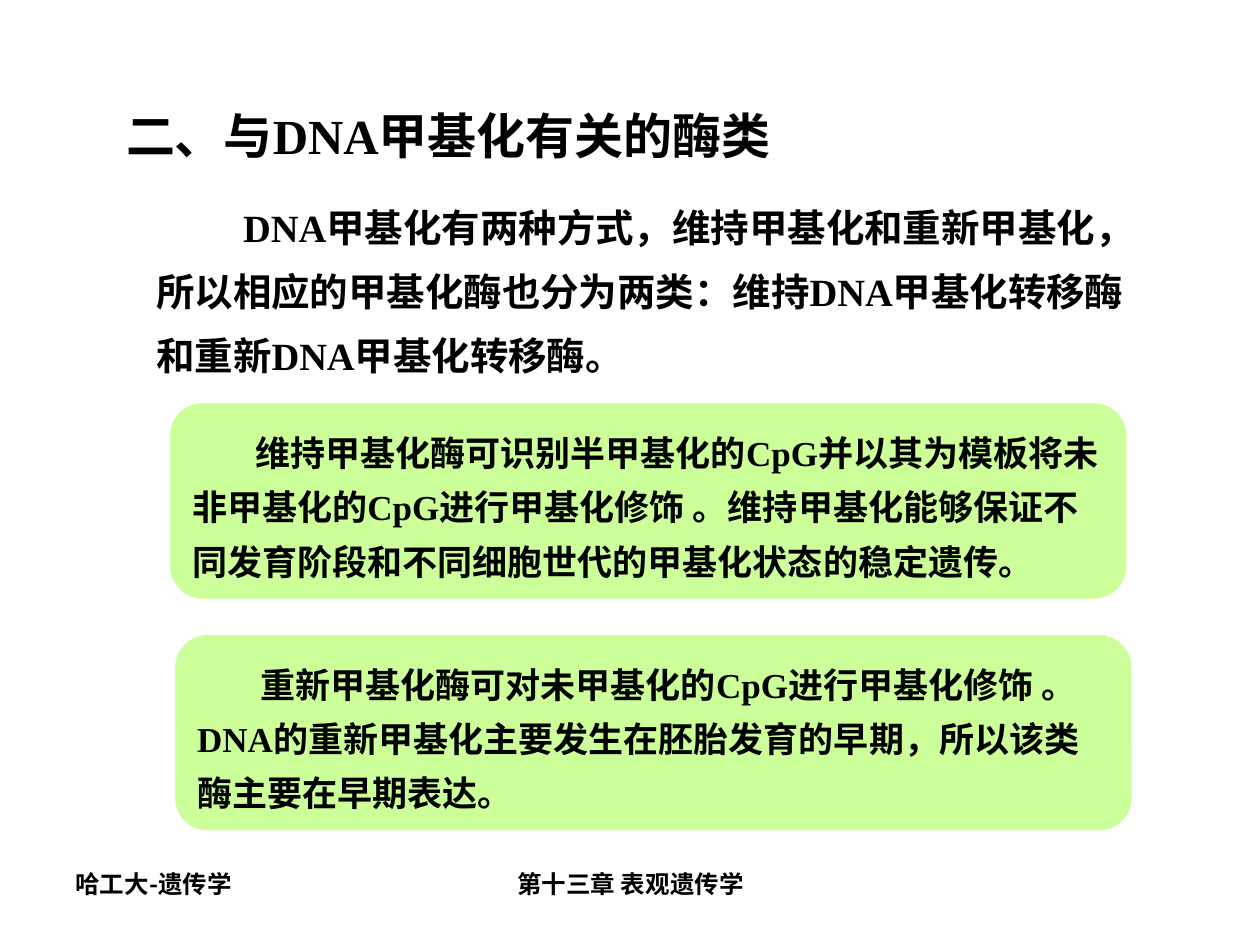
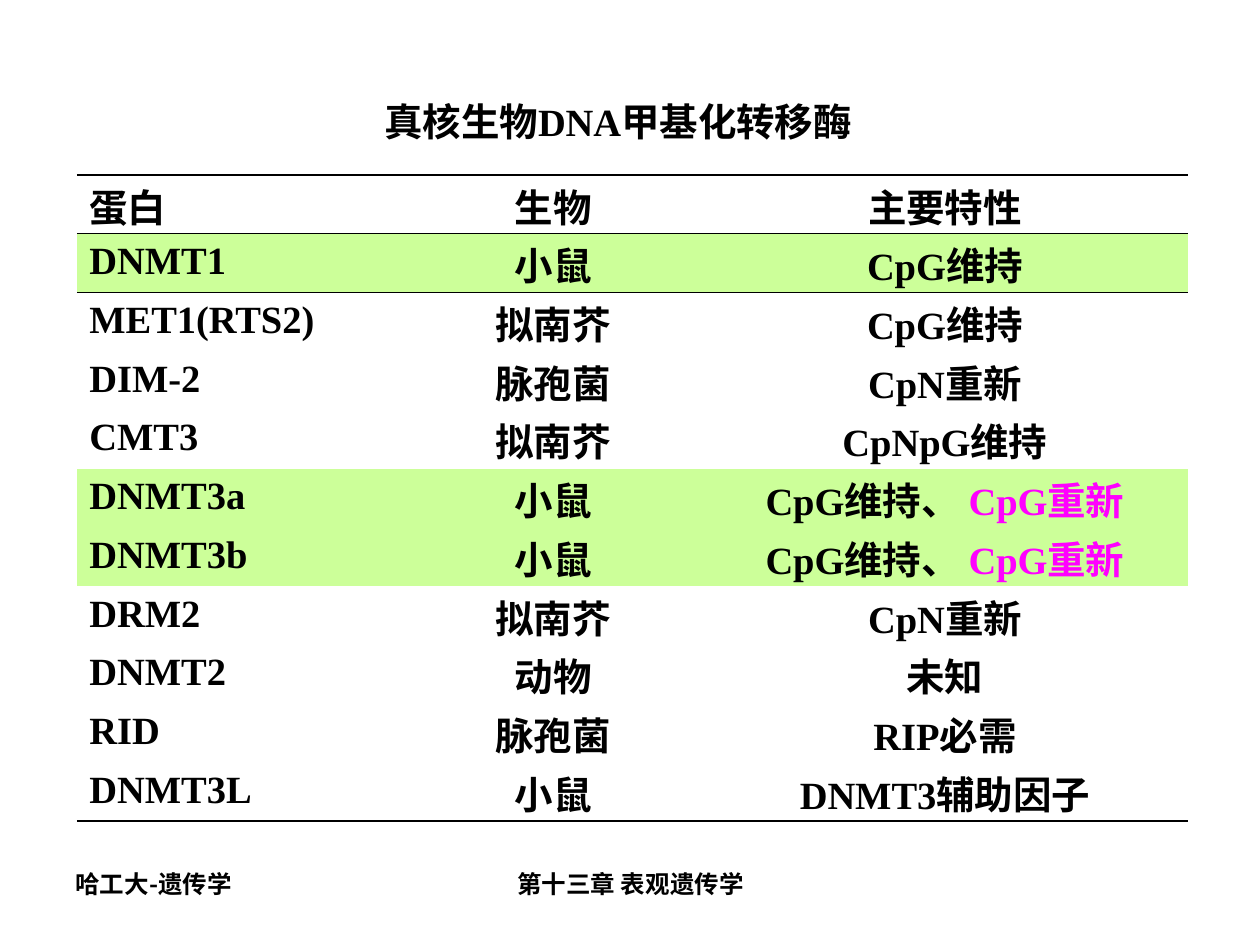
from lxml.etree import SubElement
from pptx import Presentation
from pptx.dml.color import RGBColor
from pptx.enum.shapes import MSO_SHAPE
from pptx.enum.text import MSO_ANCHOR, MSO_AUTO_SIZE, PP_ALIGN
from pptx.oxml.ns import qn
from pptx.util import Inches, Pt

HUE = {"ink": "000000", "lime": "CCFF99", "pink": "FF00FF"}
SERIF, SANS, HAN = "Times New Roman", "Arial", "Noto Sans CJK SC"
LEFT, MID = PP_ALIGN.LEFT, PP_ALIGN.CENTER
FOOT = [
    ("哈工大-遗传学", 5, 23.3, LEFT, HAN),
    ("第十三章 表观遗传学", 34.2, 31.7, MID, SANS),
]

deck = Presentation()
deck.slide_width, deck.slide_height = Inches(10), Inches(7.5)
COL, ROW = deck.slide_width / 100, deck.slide_height / 100


def area(left, top, width, height):
    """Turn shares of the slide, in percent, into lengths."""
    return int(left * COL), int(top * ROW), int(width * COL), int(height * ROW)


def style(frame, size, pitch, align=LEFT, font=SERIF, indent=0, anchor=MSO_ANCHOR.TOP):
    frame.word_wrap = True
    frame.vertical_anchor = anchor
    for para in frame.paragraphs:
        para.alignment = align
        para.line_spacing = Pt(pitch)
        para.space_before = Pt(0)
        props = para._p.get_or_add_pPr()
        props.set("marL", "0")
        props.set("indent", str(Inches(indent)))
        SubElement(props, qn("a:buNone"))
        for run in para.runs:
            run.font.size, run.font.bold, run.font.name = Pt(size), True, font
            run.font.color.rgb = RGBColor.from_string(HUE["ink"])
            SubElement(run._r.get_or_add_rPr(), qn("a:ea"), typeface=HAN)


# Titles and footers of both slides
pages = []
for kind, text, spot, size, pitch in [
    (1, "二、与DNA甲基化有关的酶类", (9, 6.93, 56.7, 10.67), 28, 52.7),
    (5, "真核生物DNA甲基化转移酶", (29.5, 6.93, 41, 8.67), 22, 41.4),
]:
    page = deck.slides.add_slide(deck.slide_layouts[kind])
    head = page.shapes.title
    head.left, head.top, head.width, head.height = area(*spot)
    head.text_frame.text = text
    head.text_frame.auto_size = MSO_AUTO_SIZE.NONE
    style(head.text_frame, size, pitch)
    for note, left, width, align, font in FOOT:
        box = page.shapes.add_textbox(*area(left, 91.07, width, 6.93))
        box.text_frame.text = note
        style(box.text_frame, 14, 18, align, font)
    pages.append(page)
first, second = pages

# Slide 1: introduction and two enzyme panels
body = first.placeholders[1]
body.left, body.top, body.width, body.height = area(11.4, 18.93, 81.1, 21.87)
body.text_frame.text = (
    "DNA甲基化有两种方式，维持甲基化和重新甲基化，所以相应的甲基化酶也分为两类："
    "维持DNA甲基化转移酶和重新DNA甲基化转移酶。"
)
body.text_frame.auto_size = MSO_AUTO_SIZE.NONE
style(body.text_frame, 22, 36.7, indent=0.69, anchor=MSO_ANCHOR.MIDDLE)

for left, top, text in [
    (13.5, 42.67, "维持甲基化酶可识别半甲基化的CpG并以其为模板将未非甲基化的CpG进行甲基化修饰 。"
                  "维持甲基化能够保证不同发育阶段和不同细胞世代的甲基化状态的稳定遗传。"),
    (13.9, 67.2, "重新甲基化酶可对未甲基化的CpG进行甲基化修饰 。"
                 "DNA的重新甲基化主要发生在胚胎发育的早期，所以该类酶主要在早期表达。"),
]:
    panel = first.shapes.add_shape(
        MSO_SHAPE.ROUNDED_RECTANGLE, *area(left, top, 75.9, 20.67))
    panel.shadow.inherit = False
    panel.fill.solid()
    panel.fill.fore_color.rgb = RGBColor.from_string(HUE["lime"])
    panel.line.fill.background()
    panel.text_frame.text = text
    style(panel.text_frame, 20, 31.1, indent=0.5)

# Slide 2: table of enzymes
DATA = [
    ("蛋白", "生物", "主要特性"),
    ("DNMT1", "小鼠", "CpG维持"),
    ("MET1(RTS2)", "拟南芥", "CpG维持"),
    ("DIM-2", "脉孢菌", "CpN重新"),
    ("CMT3", "拟南芥", "CpNpG维持"),
    ("DNMT3a", "小鼠", "CpG维持、 |CpG重新"),
    ("DNMT3b", "小鼠", "CpG维持、 |CpG重新"),
    ("DRM2", "拟南芥", "CpN重新"),
    ("DNMT2", "动物", "未知"),
    ("RID", "脉孢菌", "RIP必需"),
    ("DNMT3L", "小鼠", "DNMT3辅助因子"),
]
LIT = {"DNMT1", "DNMT3a", "DNMT3b"}
RULES = {
    0: [("a:lnT", 1.08), ("a:lnB", 0.45)],
    1: [("a:lnT", 0.45)],
    len(DATA) - 1: [("a:lnB", 1.08)],
}
grid = second.shapes.add_table(len(DATA), 3, *area(6.1, 18.53, 88.2, 68.4)).table
grid.first_row = grid.horz_banding = False
plain = "{2D5ABB26-0587-4C30-8999-92F81FD0307C}"
grid._tbl.tblPr.find(qn("a:tableStyleId")).text = plain
for col, share in zip(grid.columns, (26, 23.6, 38.6)):
    col.width = int(share * COL)

for r, line in enumerate(DATA):
    for c, text in enumerate(line):
        cell = grid.cell(r, c)
        para = cell.text_frame.paragraphs[0]
        for part in text.split("|"):
            para.add_run().text = part
        style(cell.text_frame, 22, 26, MID if c else LEFT)
        if len(para.runs) > 1:
            para.runs[1].font.color.rgb = RGBColor.from_string(HUE["pink"])
        # Han lines sit lower in the row than Latin ones
        cell.margin_top = Inches(0.03 if text.isascii() else 0.1)
        cell.margin_bottom = 0
        props = cell._tc.get_or_add_tcPr()
        for tag, width in RULES.get(r, []):
            edge = SubElement(props, qn(tag), w=str(Pt(width)))
            fill = SubElement(edge, qn("a:solidFill"))
            SubElement(fill, qn("a:srgbClr"), val=HUE["ink"])
        if line[0] in LIT:
            cell.fill.solid()
            cell.fill.fore_color.rgb = RGBColor.from_string(HUE["lime"])
        else:
            cell.fill.background()

deck.save("out.pptx")
